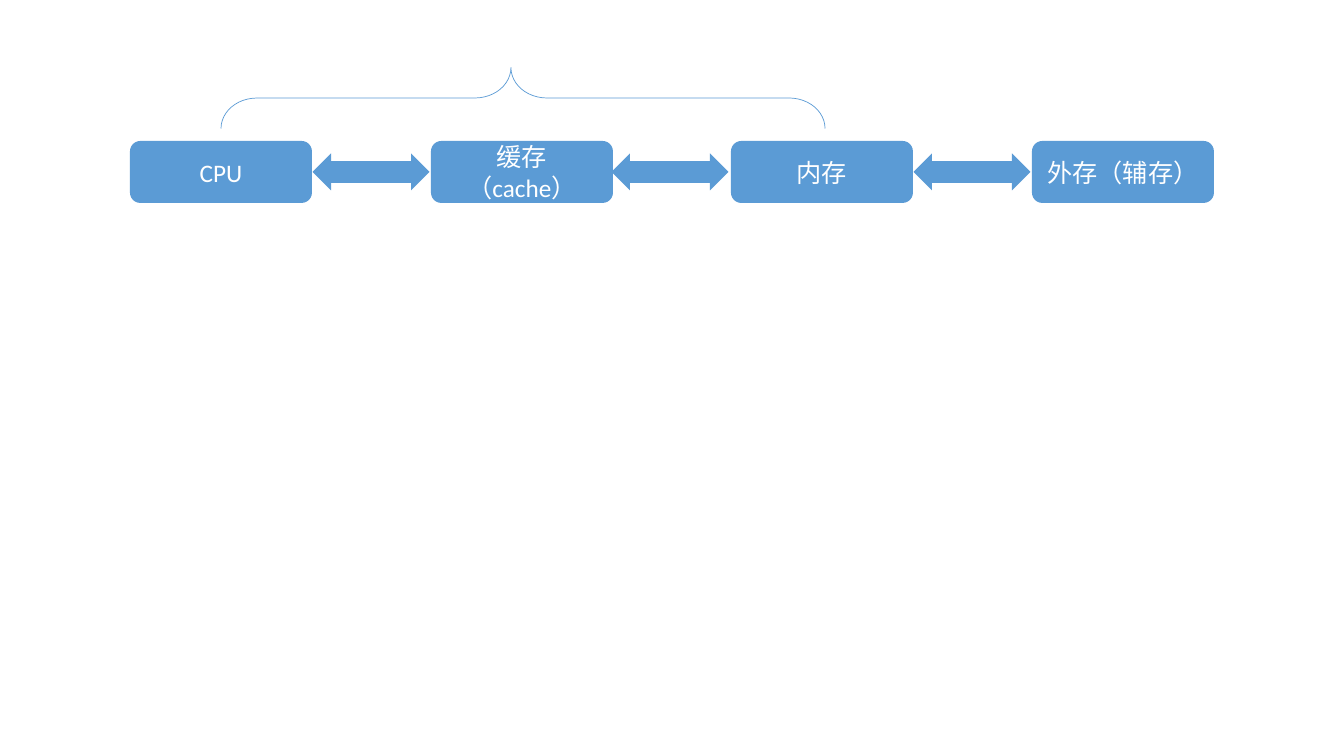
from dataclasses import dataclass

import pptx
import pptx.dml.color
import pptx.enum.shapes
import pptx.enum.text
import pptx.util

EMU_PER_PX = 914400 / 100.8
COLOURS = {"blue": "5B9BD5", "white": "FFFFFF"}
SHAPES = pptx.enum.shapes.MSO_SHAPE

MEMORY_LEVELS = ["CPU", "缓存（cache）", "内存", "外存（辅存）"]
FIRST_BOX_LEFT, LAST_BOX_LEFT = 130, 1032
BOX_WIDTH, BOX_HEIGHT = 182, 62
ROW_CENTRE = 172
ARROW_CENTRES = [371, 670, 972]


@dataclass
class Symbol:
    """A preset shape placed by its centre, in px, before its rotation."""
    preset: SHAPES
    centre_x: int
    centre_y: int
    width: int
    height: int
    rotation: int = 0
    adjustments: tuple[float, ...] = ()


def px(length: float) -> pptx.util.Emu:
    return pptx.util.Emu(round(length * EMU_PER_PX))


def colour(name: str) -> pptx.dml.color.RGBColor:
    return pptx.dml.color.RGBColor.from_string(COLOURS[name])


def draw_symbol(group, symbol: Symbol, filled: bool = True):
    """Draw a solid blue symbol, or only its thin blue outline."""
    shape = group.shapes.add_shape(
        symbol.preset,
        px(symbol.centre_x - symbol.width / 2),
        px(symbol.centre_y - symbol.height / 2),
        px(symbol.width),
        px(symbol.height),
    )
    shape.rotation = symbol.rotation
    for index, value in enumerate(symbol.adjustments):
        shape.adjustments[index] = value
    shape.shadow.inherit = False
    if filled:
        shape.fill.solid()
        shape.fill.fore_color.rgb = colour("blue")
        shape.line.fill.background()
    else:
        shape.fill.background()
        shape.line.color.rgb = colour("blue")
        shape.line.width = pptx.util.Pt(0.5)
    return shape


def write_label(shape, text: str) -> None:
    text_frame = shape.text_frame
    text_frame.text = text
    text_frame.word_wrap = True
    text_frame.vertical_anchor = pptx.enum.text.MSO_ANCHOR.MIDDLE
    paragraph = text_frame.paragraphs[0]
    paragraph.alignment = pptx.enum.text.PP_ALIGN.CENTER
    font = paragraph.runs[0].font
    font.name = "Calibri"
    font.size = pptx.util.Pt(18)
    font.color.rgb = colour("white")


def main() -> None:
    presentation = pptx.Presentation()
    presentation.slide_width = px(1344)
    presentation.slide_height = px(756)
    slide = presentation.slides.add_slide(presentation.slide_layouts[6])
    group = slide.shapes.add_group_shape()

    pitch = (LAST_BOX_LEFT - FIRST_BOX_LEFT) / (len(MEMORY_LEVELS) - 1)
    for index, level in enumerate(MEMORY_LEVELS):
        centre_x = round(FIRST_BOX_LEFT + index * pitch) + BOX_WIDTH // 2
        box = Symbol(SHAPES.ROUNDED_RECTANGLE, centre_x, ROW_CENTRE, BOX_WIDTH, BOX_HEIGHT)
        write_label(draw_symbol(group, box), level)

    for centre_x in ARROW_CENTRES:
        draw_symbol(group, Symbol(SHAPES.UP_DOWN_ARROW, centre_x, ROW_CENTRE, 37, 117, 90, (0.48, 0.59)))

    brace = Symbol(SHAPES.LEFT_BRACE, 523, 98, 61, 604, 90, (0.59, 0.52))
    draw_symbol(group, brace, filled=False)

    presentation.save("out.pptx")


if __name__ == "__main__":
    main()
